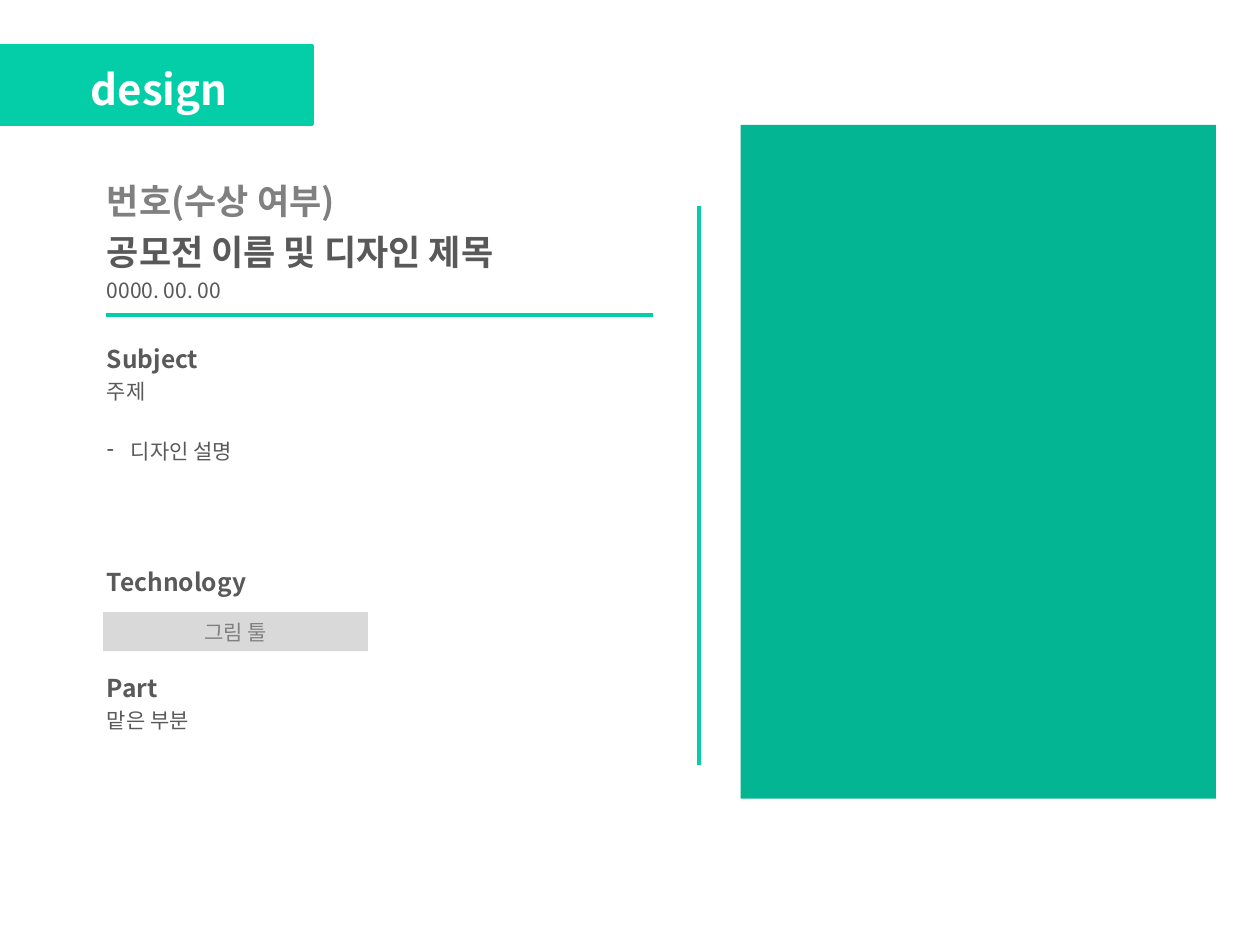
from pptx import Presentation
from pptx.dml.color import RGBColor as Rgb
from pptx.enum.shapes import MSO_CONNECTOR as Conn, MSO_SHAPE as Kind
from pptx.enum.text import MSO_ANCHOR as Anchor, PP_ALIGN as Align
from pptx.oxml.ns import qn
from pptx.util import Inches, Pt
from lxml.etree import SubElement as Sub

WIDE, HIGH = 10, 7.5
FACE = "Noto Sans CJK KR"
LINE = 1.45
HUES = {"mint": "04CEA8", "teal": "03B593", "pale": "D9D9D9",
        "gray": "808080", "dark": "595959", "white": "FFFFFF"}
ROWS = [
    ("번호(수상 여부)", 20, True, "gray", 0),
    ("공모전 이름 및 디자인 제목", 20, True, "dark", 0),
    ("0000. 00. 00", 12, False, "dark", 0),
    ("Subject", 14, True, "dark", 14),
    ("주제", 12, False, "dark", 0),
    ("디자인 설명", 12, False, "dark", 12),
    ("Technology", 14, True, "dark", 38),
    ("Part", 14, True, "dark", 28),
    ("맡은 부분", 12, False, "dark", 0),
]
LISTED = "디자인 설명"


def hue(name):
    return Rgb.from_string(HUES[name])


def apply(item, vals):
    for key, val in vals.items():
        setattr(item, key, val)


def part(box, x, y, w, h):
    left, top, wide, high = box
    return left + x * wide, top + y * high, w * wide, h * high


def emu(box):
    return [Inches(v) for v in box]


def write(para, text, size, bold, color):
    run = para.add_run()
    run.text = text
    apply(run.font, {"name": FACE, "size": Pt(size), "bold": bold})
    run.font.color.rgb = hue(color)
    Sub(run.font._element, qn("a:ea")).set("typeface", FACE)


def block(slide, box, color):
    shape = slide.shapes.add_shape(Kind.RECTANGLE, *emu(box))
    shape.shadow.inherit = False
    shape.fill.solid()
    shape.fill.fore_color.rgb = hue(color)
    shape.line.fill.background()
    shape.text_frame.vertical_anchor = Anchor.MIDDLE
    return shape


def rule(slide, box):
    x, y, w, h = box
    line = slide.shapes.add_connector(Conn.STRAIGHT, *emu((x, y, x + w, y + h)))
    line.line.color.rgb = hue("mint")
    line.line.width = Pt(2.25)
    Sub(line._element.spPr, qn("a:effectLst"))


def banner(slide, box):
    shape = block(slide, box, "mint")
    shape.line.color.rgb = hue("mint")
    shape.line.width = Pt(2)
    frame = shape.text_frame
    apply(frame, {"margin_left": Inches(0.72), "margin_top": Inches(0.1)})
    para = frame.paragraphs[0]
    para.alignment = Align.LEFT
    write(para, "design", 24, True, "white")


def dash(para):
    props = para._p.get_or_add_pPr()
    for key, val in {"marL": 0.19, "indent": -0.19}.items():
        props.set(key, str(Inches(val)))
    Sub(props, qn("a:buFontTx"))
    Sub(props, qn("a:buChar")).set("char", "-")


def details(slide, box):
    frame = slide.shapes.add_textbox(*emu(box)).text_frame
    frame.word_wrap = True
    for i, (text, size, bold, color, gap) in enumerate(ROWS):
        para = frame.add_paragraph() if i else frame.paragraphs[0]
        apply(para, {"line_spacing": 1.2, "space_before": Pt(gap * LINE)})
        if text == LISTED:
            dash(para)
        write(para, text, size, bold, color)
    rule(slide, part(box, 0.02, 0.26, 0.95, 0))
    tool = block(slide, part(box, 0.015, 0.775, 0.46, 0.068), "pale")
    para = tool.text_frame.paragraphs[0]
    para.alignment = Align.CENTER
    write(para, "그림 툴", 12, False, "gray")


def display(slide, box):
    rule(slide, part(box, 0, 0.12, 0, 0.83))
    block(slide, part(box, 0.08, 0, 0.92, 1), "teal")


def main():
    deck = Presentation()
    apply(deck, {"slide_width": Inches(WIDE), "slide_height": Inches(HIGH)})
    slide = deck.slides.add_slide(deck.slide_layouts[6])
    page = (0, 0, WIDE, HIGH)
    details(slide, part(page, 0.075, 0.175, 0.457, 0.61))
    banner(slide, part(page, 0, 0.048, 0.248, 0.084))
    display(slide, part(page, 0.555, 0.132, 0.41, 0.713))
    deck.save("out.pptx")


if __name__ == "__main__":
    main()
